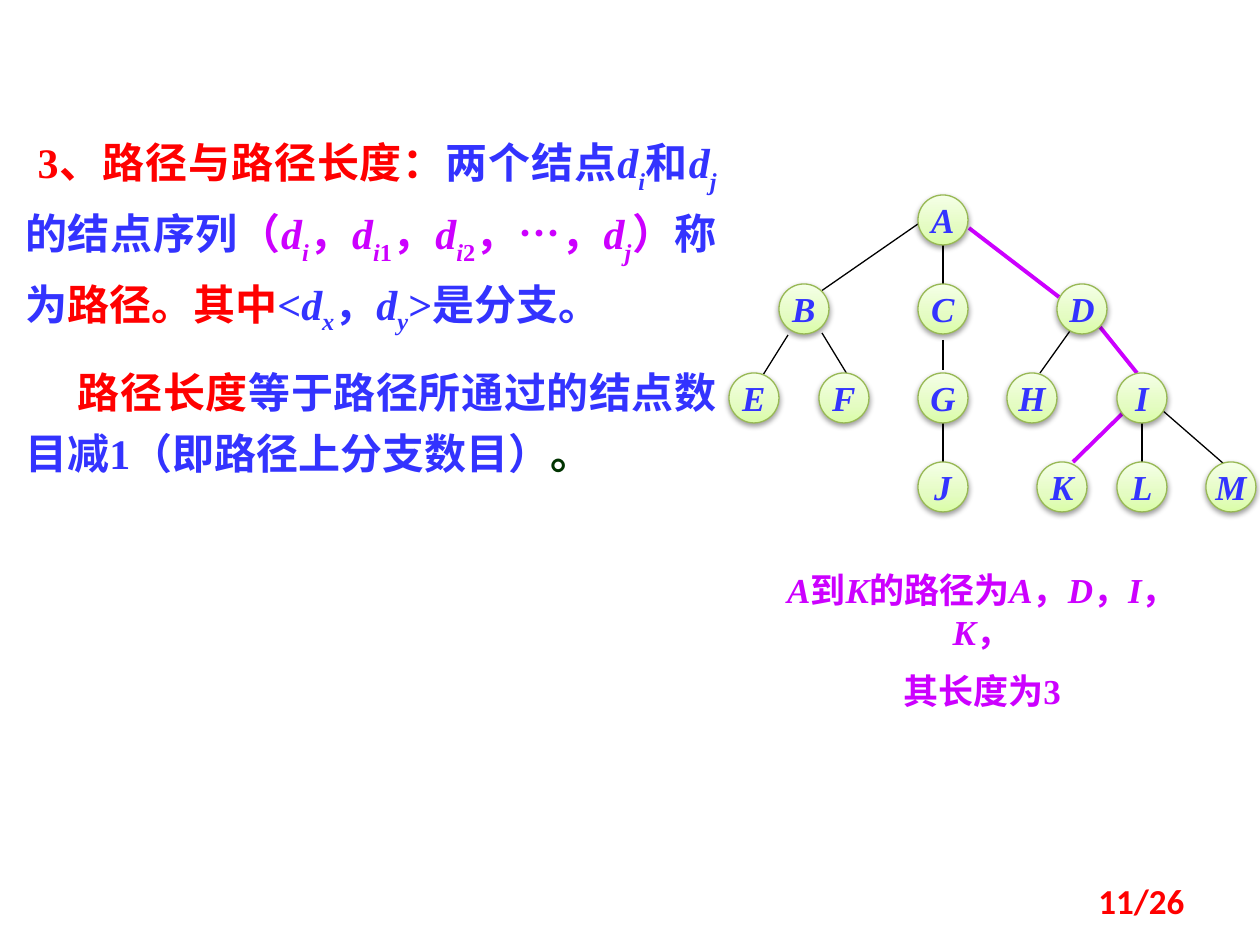
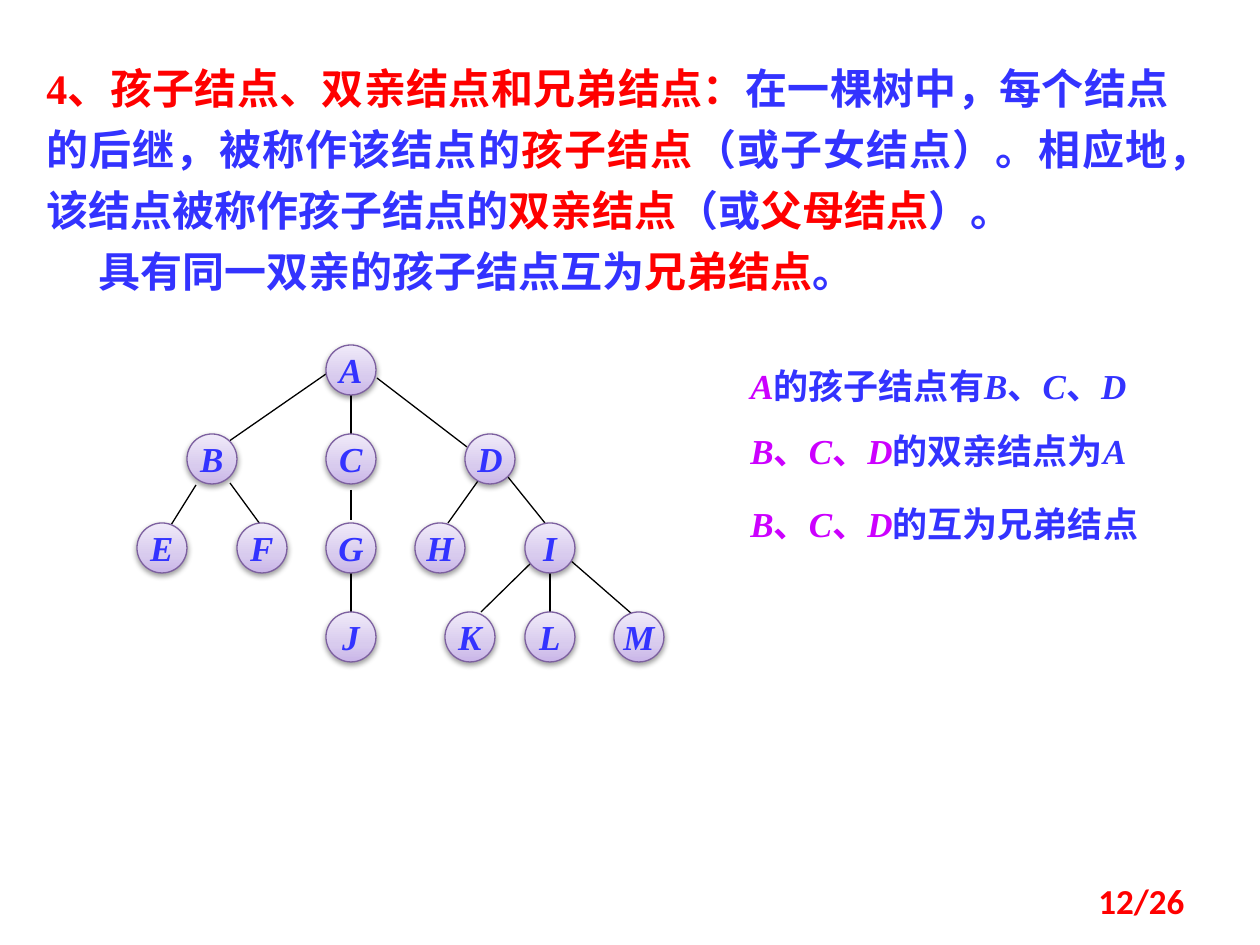
from dataclasses import dataclass
from lxml import etree
from pptx import Presentation
from pptx import util as u
from pptx.dml.color import RGBColor
from pptx.enum import shapes, text
from pptx.oxml.ns import qn


@dataclass(frozen=True)
class Theme:
    blue: str = "3333FF"
    red: str = "FF0000"
    magenta: str = "CC00FF"
    dark_green: str = "003300"
    black: str = "000000"
    green_node: tuple = ("98B955", "DAFDA7", "E4FCC2", "F5FFE7")
    purple_node: tuple = ("7D60A0", "C9B5E8", "D8CBEE", "F0EAF9")
    serif: str = "Times New Roman"
    sans: str = "Calibri"
    chinese: str = "Noto Sans CJK SC"
    body_size: int = 24
    small_size: int = 20
    thin: float = 0.75
    thick: float = 2.25


theme = Theme()
EMU_PER_PIXEL = 914400 / 126
SUBSCRIPTS = {"_": "-30000", "~": "-25000"}
ALIGN = text.PP_ALIGN


def px(length):
    return u.Emu(round(length * EMU_PER_PIXEL))


# "|" parts runs, "_" and "~" lower them, Latin letters standing alone are italic
def add_runs(paragraph, segments, size, font=theme.serif):
    for color, words in segments:
        for piece in words.split("|"):
            baseline = SUBSCRIPTS.get(piece[0])
            run = paragraph.add_run()
            run.text = piece[1:] if baseline else piece
            run.font.size = u.Pt(size)
            run.font.bold = True
            run.font.italic = run.text.isascii() and run.text.isalpha()
            run.font.color.rgb = RGBColor.from_string(color)
            run.font.name = theme.chinese if piece == "…" else font
            properties = run._r.get_or_add_rPr()
            etree.SubElement(properties, qn("a:ea"), typeface=theme.chinese)
            if baseline:
                properties.set("baseline", baseline)


NODE_SIZE = 50
ROW_PITCH = 89
NODES = {
    "A": (0, 0),
    "B": (-139, 1), "C": (0, 1), "D": (139, 1),
    "E": (-189, 2), "F": (-99, 2), "G": (0, 2), "H": (89, 2), "I": (199, 2),
    "J": (0, 3), "K": (119, 3), "L": (199, 3), "M": (288, 3),
}
EDGES = {
    "AB": (0, 29, -101, 99),
    "AC": (25, 50, 25, 89),
    "AD": (51, 33, 141, 102),
    "BE": (-130, 140, -155, 180),
    "BF": (-96, 138, -71, 179),
    "CG": (25, 145, 25, 175),
    "DH": (152, 136, 122, 178),
    "DI": (182, 132, 219, 178),
    "GJ": (25, 228, 25, 267),
    "IK": (205, 218, 155, 267),
    "IL": (224, 228, 224, 267),
    "IM": (244, 215, 306, 269),
}

path_definition = [
    (theme.red, "3、路径与路径长度："),
    (theme.blue, "两个结点|d|_i|和|d|_j|的结点序列"),
    (theme.magenta, "（|d|_i|，|d|_i|_1|，|d|_i|_2|，|…|，|d|_j|）"),
    (theme.blue, "称为"),
    (theme.red, "路径。其中"),
    (theme.blue, "<|d|~x|，|d|~y|>是分支。"),
]
path_length = [
    (theme.red, "路径长度"),
    (theme.blue, "等于路径所通过的结点数目减1（即路径上分支数目）"),
    (theme.dark_green, "。"),
]
family_definition = [
    (theme.red, "4、孩子结点、双亲结点和兄弟结点："),
    (theme.blue, "在一棵树中，每个结点的后继，被称作该结点的"),
    (theme.red, "孩子结点"),
    (theme.blue, "（或子女结点）。相应地，该结点被称作孩子结点的"),
    (theme.red, "双亲结点"),
    (theme.blue, "（或"),
    (theme.red, "父母结点"),
    (theme.blue, "）。"),
]
sibling_definition = [
    (theme.blue, "具有同一双亲的孩子结点互为"),
    (theme.red, "兄弟结点"),
    (theme.blue, "。"),
]
path_caption = [
    [(theme.magenta, "A|到|K|的路径为|A|，|D|，|I|，|K|，")],
    [(theme.magenta, "其长度为3")],
]
children_note = [(theme.magenta, "A"), (theme.blue, "的孩子结点有|B|、|C|、|D")]
parent_note = [(theme.magenta, "B|、|C|、|D"), (theme.blue, "的双亲结点为|A")]
sibling_note = [(theme.magenta, "B|、|C|、|D"), (theme.blue, "的互为兄弟结点")]

body, small = theme.body_size, theme.small_size
pages = [
    {
        "number": "11/26", "origin": (918, 195), "colors": theme.green_node,
        "highlight": {"AD", "DI", "IK"}, "f_shift": 0,
        "boxes": [
            ((13, 118, 716, 354), [path_definition, path_length],
             body, ALIGN.JUSTIFY, 1.2, 12, (7, 30)),
            ((759, 562, 446, 117), path_caption,
             small, ALIGN.CENTER, None, 10, (0, 0)),
        ],
    },
    {
        "number": "12/26", "origin": (326, 345), "colors": theme.purple_node,
        "highlight": set(), "f_shift": 10,
        "boxes": [
            ((34, 45, 1147, 260), [family_definition, sibling_definition],
             body, ALIGN.JUSTIFY, u.Pt(35), 0, (0, 30)),
            ((738, 358, 493, 55), [children_note], small, ALIGN.LEFT, None, 0, (0,)),
            ((738, 423, 462, 55), [parent_note], small, ALIGN.LEFT, None, 0, (0,)),
            ((738, 496, 462, 55), [sibling_note], small, ALIGN.LEFT, None, 0, (0,)),
        ],
    },
]

presentation = Presentation()
presentation.slide_width = px(1260)
presentation.slide_height = px(945)

for page in pages:
    slide = presentation.slides.add_slide(presentation.slide_layouts[6])
    left, top = page["origin"]
    outline, *gradient = page["colors"]

    for edge, (x1, y1, x2, y2) in EDGES.items():
        if edge == "BF":
            x2 += page["f_shift"] / 2
        connector = slide.shapes.add_connector(
            shapes.MSO_CONNECTOR.STRAIGHT,
            px(left + x1), px(top + y1), px(left + x2), px(top + y2))
        marked = edge in page["highlight"]
        connector.line.color.rgb = RGBColor.from_string(
            theme.magenta if marked else theme.black)
        connector.line.width = u.Pt(theme.thick if marked else theme.thin)
        etree.SubElement(connector._element.spPr, qn("a:effectLst"))

    for name, (x, row) in NODES.items():
        if name == "F":
            x += page["f_shift"]
        node = slide.shapes.add_shape(
            shapes.MSO_SHAPE.OVAL, px(left + x), px(top + row * ROW_PITCH),
            px(NODE_SIZE), px(NODE_SIZE))
        node.fill.gradient()
        node.fill.gradient_angle = 90
        stops = node._element.spPr.find(".//" + qn("a:gsLst"))
        stops.clear()
        for position, color in zip(("0", "35000", "100000"), gradient):
            stop = etree.SubElement(stops, qn("a:gs"), pos=position)
            etree.SubElement(stop, qn("a:srgbClr"), val=color)
        node.line.color.rgb = RGBColor.from_string(outline)
        node.line.width = u.Pt(theme.thin)
        node.shadow.inherit = False
        effects = node._element.spPr.find(qn("a:effectLst"))
        shadow = etree.SubElement(effects, qn("a:outerShdw"), blurRad="40000",
                                  dist="20000", dir="5400000", rotWithShape="0")
        shade = etree.SubElement(shadow, qn("a:srgbClr"), val=theme.black)
        etree.SubElement(shade, qn("a:alpha"), val="38000")
        frame = node.text_frame
        frame.word_wrap = False
        frame.vertical_anchor = text.MSO_ANCHOR.MIDDLE
        frame.paragraphs[0].alignment = ALIGN.CENTER
        add_runs(frame.paragraphs[0], [(theme.blue, name)], theme.small_size)

    for bounds, paragraphs, size, alignment, spacing, before, indents in page["boxes"]:
        frame = slide.shapes.add_textbox(*map(px, bounds)).text_frame
        frame.word_wrap = True
        frame.auto_size = text.MSO_AUTO_SIZE.SHAPE_TO_FIT_TEXT
        for index, (segments, indent) in enumerate(zip(paragraphs, indents)):
            paragraph = frame.add_paragraph() if index else frame.paragraphs[0]
            paragraph.alignment = alignment
            paragraph.line_spacing = spacing
            paragraph.space_before = u.Pt(before)
            paragraph._p.get_or_add_pPr().set("indent", str(u.Pt(indent)))
            add_runs(paragraph, segments, size)

    frame = slide.shapes.add_textbox(px(903), px(876), px(294), px(50)).text_frame
    frame.word_wrap = True
    frame.vertical_anchor = text.MSO_ANCHOR.MIDDLE
    frame.paragraphs[0].alignment = ALIGN.RIGHT
    add_runs(frame.paragraphs[0], [(theme.red, page["number"])],
             theme.small_size, theme.sans)

presentation.save("out.pptx")
